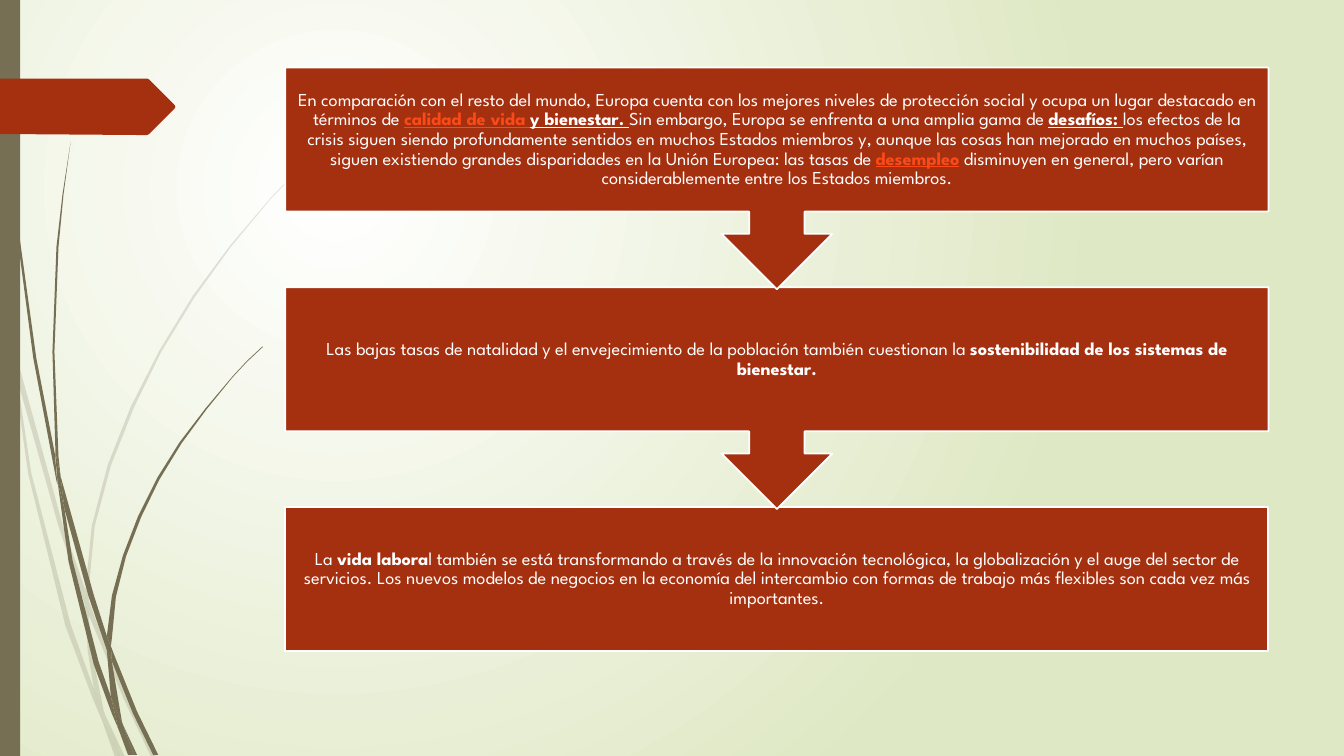
from lxml.etree import SubElement
from pptx import Presentation
from pptx.dml.color import RGBColor
from pptx.enum.shapes import MSO_SHAPE
from pptx.enum.text import MSO_ANCHOR, PP_ALIGN
from pptx.oxml.ns import qn
from pptx.util import Inches, Pt

RUST, OLIVE, WHITE, LINK = "A53010", "766F54", "FFFFFF", "FB4A18"
BOLD = {"bold": True}
UNDER = {"bold": True, "line": True}
HOT = {"bold": True, "line": True, "color": LINK}

PALE = [
    ".11,3.5 .09,3.22 0,2.82 0,2.99 .1,3.44",
    ".58,5.22 .84,5.99 .85,5.86 .62,5.2 .14,3.45 .17,3.76",
    ".92,6.07 .88,5.96 .88,6.1 1.23,6.94 1.5,7.51 1.55,7.51 1.27,6.92",
    "1.19,7.51 1.24,7.51 1.05,7.11",
    ".93,6.83 .7,6.19 .31,4.69 .17,3.76 .11,3.5 .28,4.7 .65,6.21 .92,6.93 1.01,7.14 .99,7.07",
    ".84,5.99 .87,6.46 .93,6.83 .96,6.92 1.05,7.11 1.03,7.06 .91,6.46 .88,6.1 .88,6.08",
    ".88,5.84 .94,5.22 1.1,4.62 1.33,4.04 1.6,3.49 1.93,2.95 2.29,2.45 2.68,1.98 2.9,1.75 "
    "3.12,1.54 3.12,1.53 2.89,1.75 2.68,1.97 2.28,2.44 1.91,2.94 1.58,3.48 1.3,4.03 "
    "1.07,4.61 .91,5.22 .85,5.84 .85,5.86 .88,5.96",
    "1.01,7.14 1.14,7.51 1.19,7.51",
    ".88,6.08 .88,6.1 .88,5.96 .85,5.86 .84,5.99",
    ".96,6.92 .93,6.83 .99,7.07 1.01,7.14 1.19,7.51 1.05,7.11",
]
DARK = [
    ".07,1.1 .17,2.33 .33,3.55 .56,4.77 .57,4.81 .55,4.57 .55,4.53 .36,3.55 .19,2.32 "
    ".08,1.09 .05,.48 .04,0 .03,0 .04,.48",
    ".88,5.92 1.06,6.45 1.06,6.33 1.06,6.31 .93,5.9 .6,4.72 .64,5.05",
    "1.13,6.49 1.1,6.41 1.11,6.56 1.32,7.08 1.52,7.49 1.57,7.49 1.36,7.06",
    "1.1,6.91 .98,6.57 .72,5.56 .64,5.05 .57,4.77 .68,5.57 .93,6.59 1.11,7.08 1.17,7.22 1.16,7.17",
    ".6,4.72 .58,4.53 .54,3.49 .58,2.45 .63,1.93 .7,1.41 .62,1.93 .56,2.45 .52,3.49 .55,4.49",
    "1.33,7.49 1.36,7.49 1.22,7.19",
    ".57,4.77 .64,5.05 .6,4.72 .55,4.49 .55,4.53",
    "1.11,6.33 1.15,5.92 1.25,5.52 1.4,5.13 1.58,4.76 1.8,4.4 2.05,4.06 2.31,3.74 2.45,3.59 "
    "2.61,3.44 2.6,3.44 2.45,3.58 2.31,3.73 2.04,4.05 1.78,4.39 1.56,4.74 1.37,5.12 "
    "1.22,5.51 1.11,5.91 1.06,6.31 1.1,6.41",
    "1.17,7.22 1.27,7.49 1.31,7.49",
    "1.06,6.45 1.1,6.91 1.16,7.06 1.22,7.19 1.21,7.16 1.11,6.56 1.09,6.51",
    "1.06,6.45 1.09,6.51 1.11,6.56 1.1,6.41 1.06,6.31 1.06,6.33",
    "1.16,7.06 1.1,6.91 1.16,7.17 1.17,7.22 1.3,7.49 1.33,7.49 1.22,7.19",
]
TAG = "1.73,1.08 1.48,1.33 1.46,1.34 1.36,1.34 0,1.33 0,.78 1.46,.78 1.48,.79 1.73,1.04 1.74,1.06"

STEPS = [
    [("En comparación con el resto del mundo, Europa cuenta con los mejores niveles de "
      "protección social y ocupa un lugar destacado en términos de ", {}),
     ("calidad de vida ", HOT),
     ("y bienestar. ", UNDER),
     ("Sin embargo, Europa se enfrenta a una amplia gama de ", {}),
     ("desafíos: ", UNDER),
     ("los efectos de la crisis siguen siendo profundamente sentidos en muchos Estados "
      "miembros y, aunque las cosas han mejorado en muchos países, siguen existiendo "
      "grandes disparidades en la Unión Europea: las tasas de ", {}),
     ("desempleo", HOT),
     (" disminuyen en general, pero varían considerablemente entre los Estados miembros.", {})],
    [("Las bajas tasas de natalidad y el envejecimiento de la población también "
      "cuestionan la ", {}),
     ("sostenibilidad de los sistemas de bienestar.", BOLD)],
    [("La ", {}),
     ("vida labora", BOLD),
     ("l también se está transformando a través de la innovación tecnológica, la "
      "globalización y el auge del sector de servicios. Los nuevos modelos de negocios en "
      "la economía del intercambio con formas de trabajo más flexibles son cada vez más "
      "importantes.", {})],
]


def tint(code):
    return RGBColor.from_string(code)


def write(para, words, size=13, color=WHITE, bold=False, line=False):
    run = para.add_run()
    run.text = words
    font = run.font
    font.name, font.size = "League Spartan", Pt(size)
    font.bold, font.underline = bold, line
    font.color.rgb = tint(color)


class Page:
    def __init__(self, deck):
        self.slide = deck.slides.add_slide(deck.slide_layouts[6])
        self.shapes = self.slide.shapes

    def glow(self, inner, outer):
        fill = self.slide.background.fill
        fill.gradient()
        for stop, code in zip(fill.gradient_stops, (inner, outer)):
            stop.color.rgb = tint(code)
        grad = self.slide.element.find(".//" + qn("a:gradFill"))
        grad.remove(grad.find(qn("a:lin")))
        ring = SubElement(grad, qn("a:path"), {"path": "circle"})
        SubElement(ring, qn("a:fillToRect"),
                   {"l": "50000", "t": "50000", "r": "100000", "b": "100000"})

    def paint(self, shape, color, edge=None, alpha=None):
        shape.shadow.inherit = False
        shape.fill.solid()
        shape.fill.fore_color.rgb = tint(color)
        if alpha:
            fill = shape.element.spPr.find(qn("a:solidFill"))
            SubElement(fill[0], qn("a:alpha"), {"val": str(alpha * 1000)})
        if edge:
            shape.line.color.rgb = tint(edge)
            shape.line.width = Pt(1.25)
        else:
            shape.line.fill.background()

    def block(self, kind, left, top, width, height, color, edge=None):
        shape = self.shapes.add_shape(
            kind, Inches(left), Inches(top), Inches(width), Inches(height))
        self.paint(shape, color, edge)
        return shape

    def leaf(self, dots, color, alpha=None, home=None):
        pairs = [dot.split(",") for dot in dots.split()]
        spots = [(Inches(float(x)), Inches(float(y))) for x, y in pairs]
        pen = (home or self.shapes).build_freeform(*spots[0])
        pen.add_line_segments(spots[1:], close=True)
        self.paint(pen.convert_to_shape(), color, alpha=alpha)

    def grass(self, leaves, alpha=None):
        group = self.shapes.add_group_shape()
        for dots in leaves:
            self.leaf(dots, OLIVE, alpha, group.shapes)

    def step(self, kind, top, height, parts):
        frame = self.block(kind, 2.83, top, 9.75, height, RUST, WHITE).text_frame
        frame.word_wrap = True
        frame.vertical_anchor = MSO_ANCHOR.MIDDLE
        frame.margin_left = frame.margin_right = Inches(0.1)
        frame.margin_top = frame.margin_bottom = Inches(0.1)
        para = frame.paragraphs[0]
        para.alignment = PP_ALIGN.CENTER
        para.line_spacing = 0.9
        for words, look in parts:
            write(para, words, **look)


def main():
    deck = Presentation()
    deck.slide_width, deck.slide_height = Inches(13.33), Inches(7.5)
    page = Page(deck)
    page.glow(WHITE, "DFE8C4")
    page.grass(PALE, 20)
    page.grass(DARK)
    page.block(MSO_SHAPE.RECTANGLE, 0, 0, 0.2, 7.5, OLIVE)
    page.leaf(TAG, RUST)
    last = len(STEPS) - 1
    for i in range(last, -1, -1):
        kind, height = MSO_SHAPE.DOWN_ARROW_CALLOUT, 2.2
        if i == last:
            kind, height = MSO_SHAPE.RECTANGLE, 1.43
        page.step(kind, 0.67 + 2.18 * i, height, STEPS[i])
    deck.save("out.pptx")


if __name__ == "__main__":
    main()
